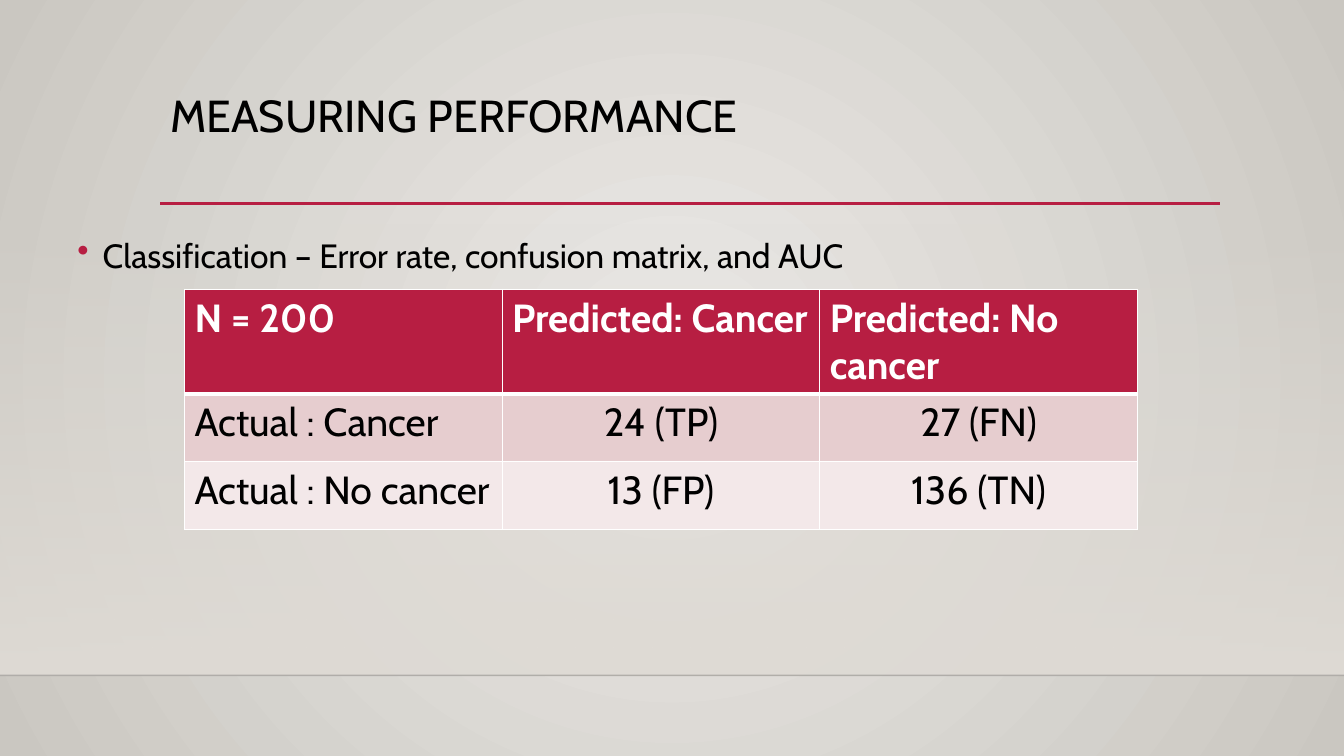
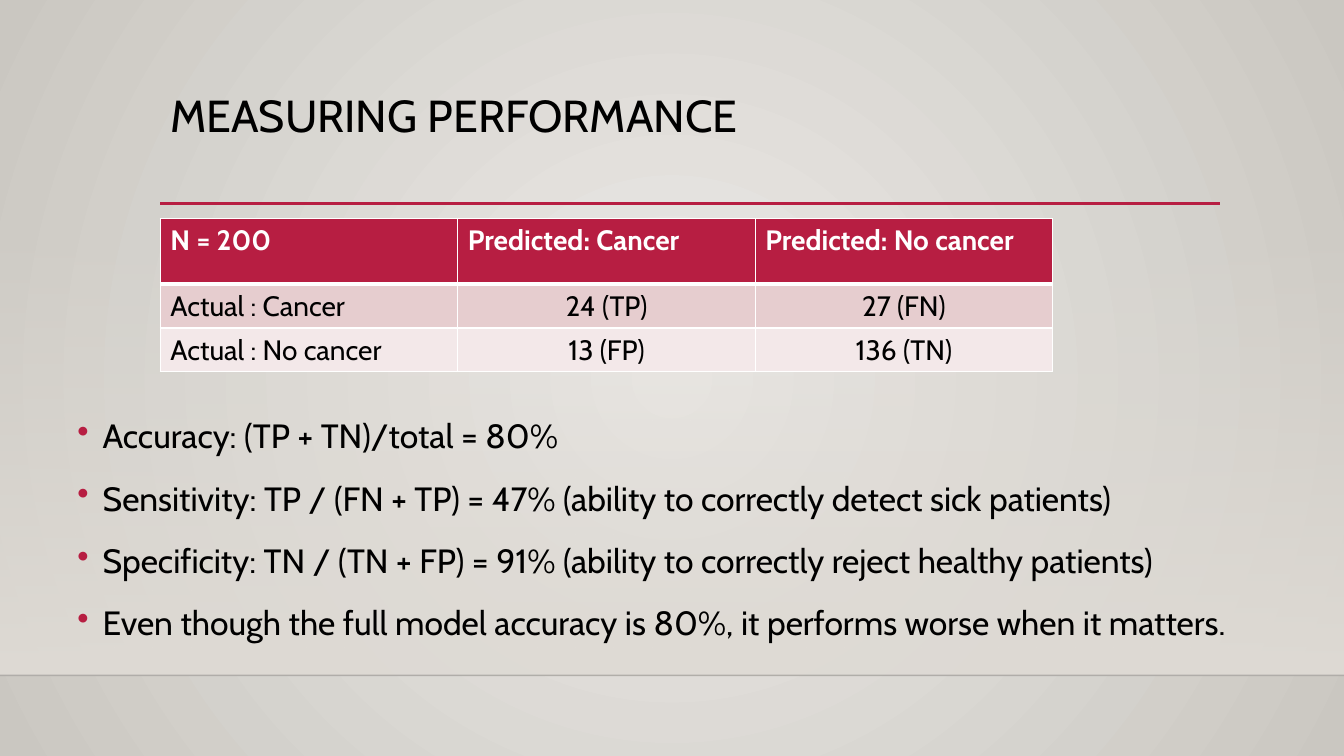
import dataclasses

import lxml.etree
import pptx
import pptx.dml.color
import pptx.enum.shapes
import pptx.enum.text
import pptx.oxml.ns
import pptx.slide
import pptx.util

Inches = pptx.util.Inches
Pt = pptx.util.Pt
qn = pptx.oxml.ns.qn

# Shared style
FONT = "Cabin"
SLIDE_WIDTH, SLIDE_HEIGHT = 13.33, 7.5
FLOOR_Y = 6.7
MARGIN_LEFT = 1.59
COLORS = {
    "accent": "B71E42",
    "text": "000000",
    "white": "FFFFFF",
    "row_dark": "E6CDCF",
    "row_light": "F3E8E9",
    "glow": "ECEAE7",
    "edge": "CAC7C1",
    "wall": "DFDBD5",
    "floor_line": "000001",
}
ROW_FILLS = ["accent", "row_dark", "row_light"]


@dataclasses.dataclass(frozen=True)
class Rule:
    left: float
    right: float
    y: float
    color: str
    width: float
    opacity: int = 100


@dataclasses.dataclass(frozen=True)
class ConfusionMatrix:
    left: float
    top: float
    column_width: float
    row_heights: tuple[float, ...]
    font_size: int


@dataclasses.dataclass(frozen=True)
class Page:
    title: str
    matrix: ConfusionMatrix
    bullets: tuple[str, ...]
    bullets_top: float
    bullets_height: float


RULES = [
    Rule(0, SLIDE_WIDTH, FLOOR_Y, "floor_line", 1, opacity=20),
    Rule(MARGIN_LEFT, 12.1, 2.02, "accent", 2.5),
]
MATRIX_ROWS = [
    ("N = 200", "Predicted: Cancer", "Predicted: No cancer"),
    ("Actual : Cancer ", "24 (TP)", "27 (FN)"),
    ("Actual : No cancer", "13 (FP)", "136 (TN)"),
]
PAGES = [
    Page(
        "MEASURING PERFORMANCE",
        ConfusionMatrix(1.83, 2.87, 3.15, (1.04, 0.67, 0.67), 28),
        ("Classification – Error rate, confusion matrix, and AUC",),
        2.2,
        0.65,
    ),
    Page(
        "MEASURING PERFORMANCE",
        ConfusionMatrix(MARGIN_LEFT, 2.17, 2.95, (0.65, 0.43, 0.43), 20),
        (
            "Accuracy: (TP + TN)/total = 80%",
            "Sensitivity: TP / (FN + TP) = 47% (ability to correctly detect sick patients)",
            "Specificity: TN / (TN + FP) = 91% (ability to correctly reject healthy patients)",
            "Even though the full model accuracy is 80%, it performs worse when it matters.",
        ),
        3.99,
        2.6,
    ),
]


def rgb(name: str) -> pptx.dml.color.RGBColor:
    return pptx.dml.color.RGBColor.from_string(COLORS[name])


def add_xml(parent, tag: str, **attributes):
    return lxml.etree.SubElement(parent, qn(tag), attributes)


def set_opacity(element, percent: int) -> None:
    """Apply opacity to the first colour inside an element."""
    color = next(element.iter(qn("a:srgbClr")))
    add_xml(color, "a:alpha", val=str(percent * 1000))


def set_gradient(fill, start: str, end: str) -> None:
    fill.gradient()
    for stop, name in zip(fill.gradient_stops, (start, end)):
        stop.color.rgb = rgb(name)
    first, last = fill.gradient_stops
    first.position, last.position = 0, 1


def add_run(paragraph, text: str, size: float, color: str = "text", bold: bool = False) -> None:
    run = paragraph.add_run()
    run.text = text
    run.font.name = FONT
    run.font.size = Pt(size)
    run.font.bold = bold
    run.font.color.rgb = rgb(color)


# Background and band
def set_background(master: pptx.slide.SlideMaster) -> None:
    set_gradient(master.background.fill, "glow", "edge")
    gradient = next(master.element.cSld.iter(qn("a:gradFill")))
    for linear in gradient.findall(qn("a:lin")):
        gradient.remove(linear)
    circle = add_xml(gradient, "a:path", path="circle")
    add_xml(circle, "a:fillToRect", l="50000", t="50000", r="50000", b="50000")


def add_wall(slide: pptx.slide.Slide) -> None:
    top = 2.21
    wall = slide.shapes.add_shape(
        pptx.enum.shapes.MSO_SHAPE.RECTANGLE,
        Inches(0), Inches(top), Inches(SLIDE_WIDTH), Inches(FLOOR_Y - top),
    )
    wall.shadow.inherit = False
    wall.line.fill.background()
    set_gradient(wall.fill, "wall", "wall")
    wall.fill.gradient_angle = 270
    set_opacity(wall.element.spPr, 0)


def add_rule(slide: pptx.slide.Slide, rule: Rule) -> None:
    line = slide.shapes.add_connector(
        pptx.enum.shapes.MSO_CONNECTOR.STRAIGHT,
        Inches(rule.left), Inches(rule.y), Inches(rule.right), Inches(rule.y),
    )
    line.line.color.rgb = rgb(rule.color)
    line.line.width = Pt(rule.width)
    if rule.opacity < 100:
        set_opacity(line.element.spPr, rule.opacity)
    add_xml(line.element.spPr, "a:effectLst")


# Title and bullets
def add_text_frame(slide: pptx.slide.Slide, left: float, top: float, width: float, height: float):
    box = slide.shapes.add_textbox(Inches(left), Inches(top), Inches(width), Inches(height))
    box.text_frame.word_wrap = True
    return box.text_frame


def add_title(slide: pptx.slide.Slide, title: str) -> None:
    paragraph = add_text_frame(slide, MARGIN_LEFT, 0.88, 10.5, 1.15).paragraphs[0]
    paragraph.line_spacing = 0.9
    add_run(paragraph, title, 32)


def add_bullets(slide: pptx.slide.Slide, page: Page) -> None:
    frame = add_text_frame(slide, 0.67, page.bullets_top, 12, page.bullets_height)
    for index, text in enumerate(page.bullets):
        paragraph = frame.add_paragraph() if index else frame.paragraphs[0]
        paragraph.line_spacing = 1.2
        paragraph.space_before = Pt(10)
        add_run(paragraph, text, 24)
        properties = paragraph._p.get_or_add_pPr()
        properties.set("marL", str(Inches(0.25)))
        properties.set("indent", str(-Inches(0.25)))
        bullet_color = add_xml(properties, "a:buClr")
        add_xml(bullet_color, "a:srgbClr", val=COLORS["accent"])
        add_xml(properties, "a:buChar", char="•")


# Confusion matrix
def add_borders(cell, row: int) -> None:
    properties = cell._tc.get_or_add_tcPr()
    widths = {"L": 1, "R": 1, "T": 3 if row == 1 else 1, "B": 3 if row == 0 else 1}
    for side, width in widths.items():
        border = add_xml(properties, f"a:ln{side}", w=str(Pt(width)))
        add_xml(add_xml(border, "a:solidFill"), "a:srgbClr", val=COLORS["white"])


def add_matrix(slide: pptx.slide.Slide, matrix: ConfusionMatrix) -> None:
    column_count = len(MATRIX_ROWS[0])
    table = slide.shapes.add_table(
        len(MATRIX_ROWS), column_count,
        Inches(matrix.left), Inches(matrix.top),
        Inches(matrix.column_width * column_count), Inches(sum(matrix.row_heights)),
    ).table
    for column in table.columns:
        column.width = Inches(matrix.column_width)
    for row, labels in enumerate(MATRIX_ROWS):
        table.rows[row].height = Inches(matrix.row_heights[row])
        header = row == 0
        for column, label in enumerate(labels):
            cell = table.cell(row, column)
            add_borders(cell, row)
            cell.fill.solid()
            cell.fill.fore_color.rgb = rgb(ROW_FILLS[row])
            paragraph = cell.text_frame.paragraphs[0]
            if not header and column:
                paragraph.alignment = pptx.enum.text.PP_ALIGN.CENTER
            add_run(paragraph, label, matrix.font_size, "white" if header else "text", header)


# Build the slides
deck = pptx.Presentation()
deck.slide_width = Inches(SLIDE_WIDTH)
deck.slide_height = Inches(SLIDE_HEIGHT)
set_background(deck.slide_master)
for page in PAGES:
    slide = deck.slides.add_slide(deck.slide_layouts[6])
    add_wall(slide)
    for rule in RULES:
        add_rule(slide, rule)
    add_title(slide, page.title)
    add_bullets(slide, page)
    add_matrix(slide, page.matrix)
deck.save("out.pptx")
